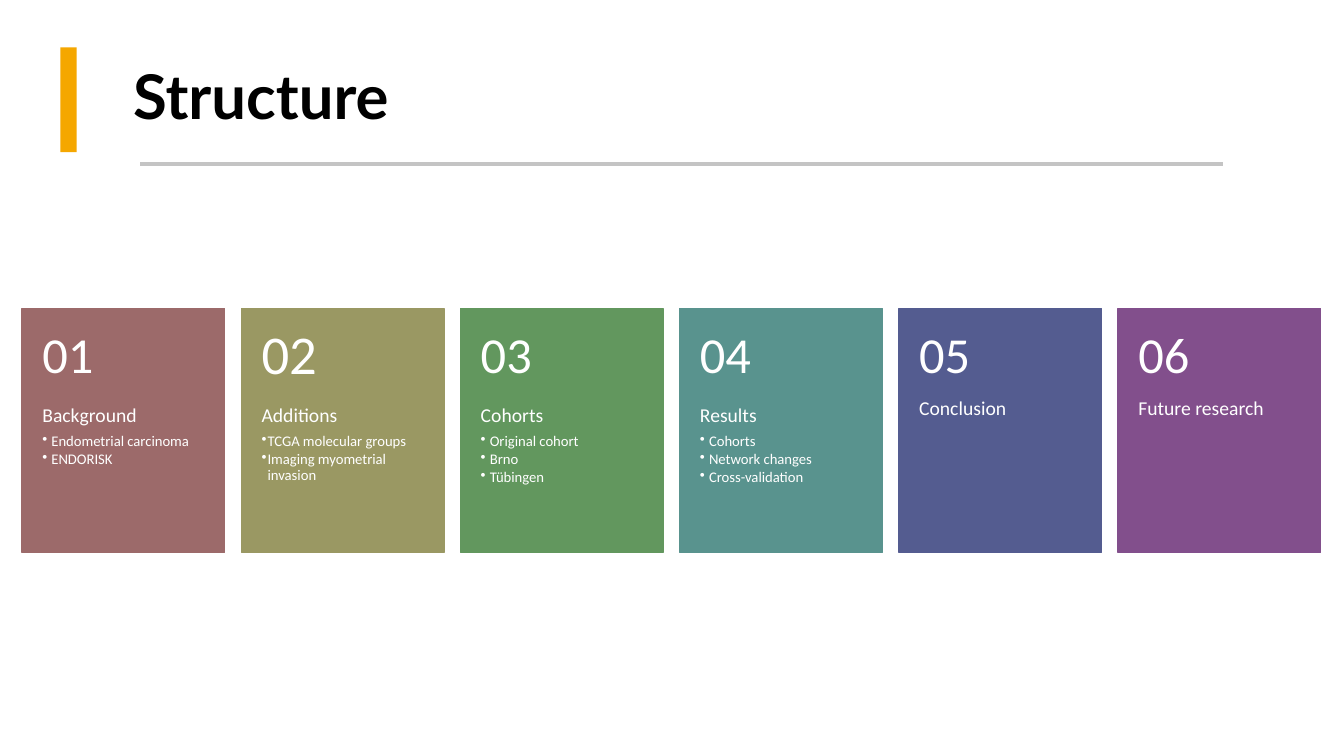
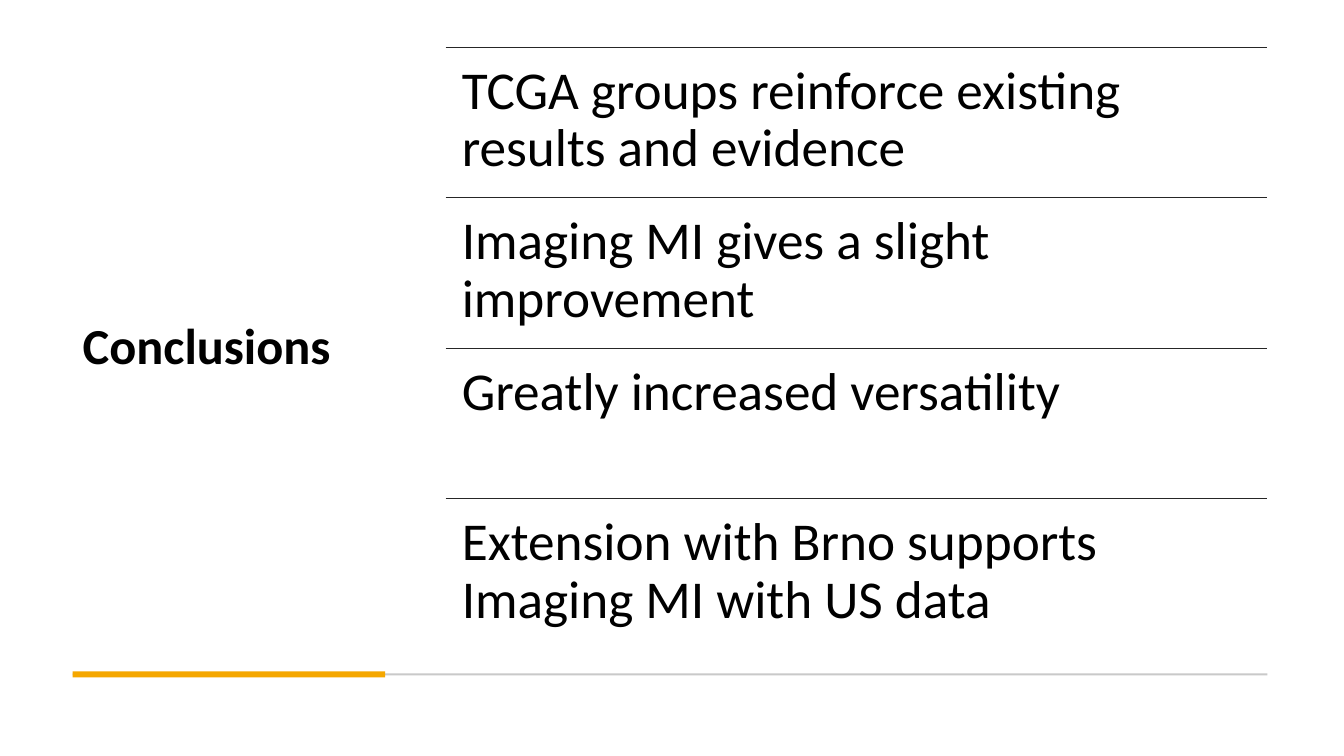
from lxml import etree
from pptx import Presentation
from pptx.dml.color import RGBColor
from pptx.enum.shapes import MSO_CONNECTOR, MSO_SHAPE
from pptx.enum.text import MSO_ANCHOR, MSO_AUTO_SIZE, PP_ALIGN
from pptx.oxml.ns import qn
from pptx.util import Inches, Pt

RECTANGLE = MSO_SHAPE.RECTANGLE
STRAIGHT = MSO_CONNECTOR.STRAIGHT
TOP, MIDDLE = MSO_ANCHOR.TOP, MSO_ANCHOR.MIDDLE
LEFT = PP_ALIGN.LEFT
NO_AUTOFIT = MSO_AUTO_SIZE.NONE

WIDTH, HEIGHT = 13.33, 7.5
TITLE_ONLY = 5
TITLE_FONT, BODY_FONT = "Lato", "Calibri"
LINE_SPACING = 0.9
SPACE_AFTER, BULLET_SPACE_AFTER = 0.35, 0.15  # shares of the text size

BLACK = RGBColor(0x00, 0x00, 0x00)
WHITE = RGBColor(0xFF, 0xFF, 0xFF)
ORANGE = RGBColor(0xF5, 0xA7, 0x00)
TITLE_RULE = RGBColor(0xC4, 0xC4, 0xC4)
FOOT_RULE = RGBColor(0xC9, 0xC9, 0xC9)
ROW_RULE = RGBColor(0x26, 0x26, 0x26)

# Cards: six equal columns between two margins
CARD_LEFT, CARD_RIGHT, CARD_TOP = 0.22, 13.1, 3.06
CARD_WIDTH, CARD_HEIGHT = 2.01, 2.42
NUMBER_SHARE = 0.4
WIDE_HANG, TIGHT_HANG = 0.09, 0.06
# Colour, number size, heading, bullet indent, bullets
CARDS = [
    (RGBColor(0x9C, 0x6A, 0x6A), 36, "Background", WIDE_HANG,
     ["Endometrial carcinoma", "ENDORISK"]),
    (RGBColor(0x9A, 0x98, 0x63), 39, "Additions", TIGHT_HANG,
     ["TCGA molecular groups", "Imaging myometrial invasion"]),
    (RGBColor(0x62, 0x97, 0x5E), 36, "Cohorts", WIDE_HANG,
     ["Original cohort", "Brno", "Tübingen"]),
    (RGBColor(0x59, 0x93, 0x8E), 36, "Results", WIDE_HANG,
     ["Cohorts", "Network changes", "Cross-validation"]),
    (RGBColor(0x54, 0x5C, 0x90), 36, "Conclusion", WIDE_HANG, []),
    (RGBColor(0x82, 0x4F, 0x8C), 36, "Future research", WIDE_HANG, []),
]

# Conclusions: four equal rows beside the title
MARGIN = 0.72
LIST_LEFT, LIST_RIGHT = 4.42, 12.57
LIST_TOP, LIST_HEIGHT = 0.47, 5.97
FOOT_MIDDLE = 6.69
CONCLUSIONS = [
    "TCGA groups reinforce existing results and evidence",
    "Imaging MI gives a slight improvement",
    "Greatly increased versatility",
    "Extension with Brno supports Imaging MI with US data",
]


def format_paragraph(para, size, color, font=BODY_FONT, bold=False, after=SPACE_AFTER):
    para.alignment = LEFT
    para.line_spacing = LINE_SPACING
    para.space_after = Pt(round(size * after, 1))
    for span in para.runs:
        span.font.name = font
        span.font.size = Pt(size)
        span.font.bold = bold
        span.font.color.rgb = color


def add_bullet(para, hang):
    properties = para._p.get_or_add_pPr()
    properties.set("marL", str(Inches(hang)))
    properties.set("indent", str(-Inches(hang)))
    etree.SubElement(properties, qn("a:buChar")).set("char", "•")


def add_title_page(deck, title, area, size, font):
    page = deck.slides.add_slide(deck.slide_layouts[TITLE_ONLY])
    box = page.shapes.title
    box.left, box.top, box.width, box.height = map(Inches, area)
    frame = box.text_frame
    frame.text = title
    frame.auto_size = NO_AUTOFIT
    frame.vertical_anchor = MIDDLE
    format_paragraph(frame.paragraphs[0], size, BLACK, font, bold=True, after=0)
    return page


def add_band(page, left, top, width, height, color):
    band = page.shapes.add_shape(RECTANGLE, *map(Inches, (left, top, width, height)))
    band.shadow.inherit = False
    band.fill.solid()
    band.fill.fore_color.rgb = color
    band.line.fill.background()
    return band


def add_rule(page, left, right, y, color, weight):
    rule = page.shapes.add_connector(STRAIGHT, *map(Inches, (left, y, right, y)))
    rule.line.color.rgb = color
    rule.line.width = Pt(weight)
    etree.SubElement(rule._element.spPr, qn("a:effectLst"))


def add_text(page, area, text, size, color, insets, anchor=TOP):
    """Add a one-paragraph box; insets run left, top, right, bottom."""
    frame = page.shapes.add_textbox(*map(Inches, area)).text_frame
    frame.word_wrap = True
    frame.vertical_anchor = anchor
    (frame.margin_left, frame.margin_top,
     frame.margin_right, frame.margin_bottom) = map(Inches, insets)
    frame.text = text
    format_paragraph(frame.paragraphs[0], size, color)
    return frame


def add_card(page, left, number, color, number_size, heading, hang, bullets):
    number_height = CARD_HEIGHT * NUMBER_SHARE
    card = add_band(page, left, CARD_TOP, CARD_WIDTH, CARD_HEIGHT, color)
    card.line.color.rgb = color
    card.line.width = Pt(1)
    add_text(page, (left, CARD_TOP, CARD_WIDTH, number_height), f"{number:02}",
             number_size, WHITE, (0.2, 0.18, 0.2, 0.18), MIDDLE)
    body = (left, CARD_TOP + number_height, CARD_WIDTH, CARD_HEIGHT - number_height)
    frame = add_text(page, body, heading, 14, WHITE, (0.2, 0, 0.2, 0.36))
    for bullet in bullets:
        para = frame.add_paragraph()
        para.text = bullet
        add_bullet(para, hang)
        format_paragraph(para, 10.5, WHITE, after=BULLET_SPACE_AFTER)


def build_structure(deck):
    page = add_title_page(deck, "Structure", (1.22, 0.34, 11.12, 1.29), 44, TITLE_FONT)
    add_band(page, 0.6, 0.47, 0.16, 1.04, ORANGE)
    add_rule(page, 1.39, 12.13, 1.63, TITLE_RULE, 3)
    pitch = (CARD_RIGHT - CARD_LEFT - CARD_WIDTH) / (len(CARDS) - 1)
    for column, card in enumerate(CARDS):
        add_card(page, CARD_LEFT + column * pitch, column + 1, *card)


def build_conclusions(deck):
    page = add_title_page(deck, "Conclusions", (MARGIN, LIST_TOP, 3.22, LIST_HEIGHT),
                          36, BODY_FONT)
    for width, height, color in ((LIST_RIGHT - MARGIN, 0.02, FOOT_RULE),
                                 (3.1, 0.06, ORANGE)):
        add_band(page, MARGIN, FOOT_MIDDLE - height / 2, width, height, color)
    row_height = LIST_HEIGHT / len(CONCLUSIONS)
    for row, conclusion in enumerate(CONCLUSIONS):
        top = LIST_TOP + row * row_height
        add_rule(page, LIST_LEFT, LIST_RIGHT, top, ROW_RULE, 1)
        add_text(page, (LIST_LEFT, top, LIST_RIGHT - LIST_LEFT, row_height),
                 conclusion, 38, BLACK, (0.16,) * 4)


def main():
    deck = Presentation()
    deck.slide_width, deck.slide_height = Inches(WIDTH), Inches(HEIGHT)
    build_structure(deck)
    build_conclusions(deck)
    deck.save("out.pptx")


if __name__ == "__main__":
    main()
